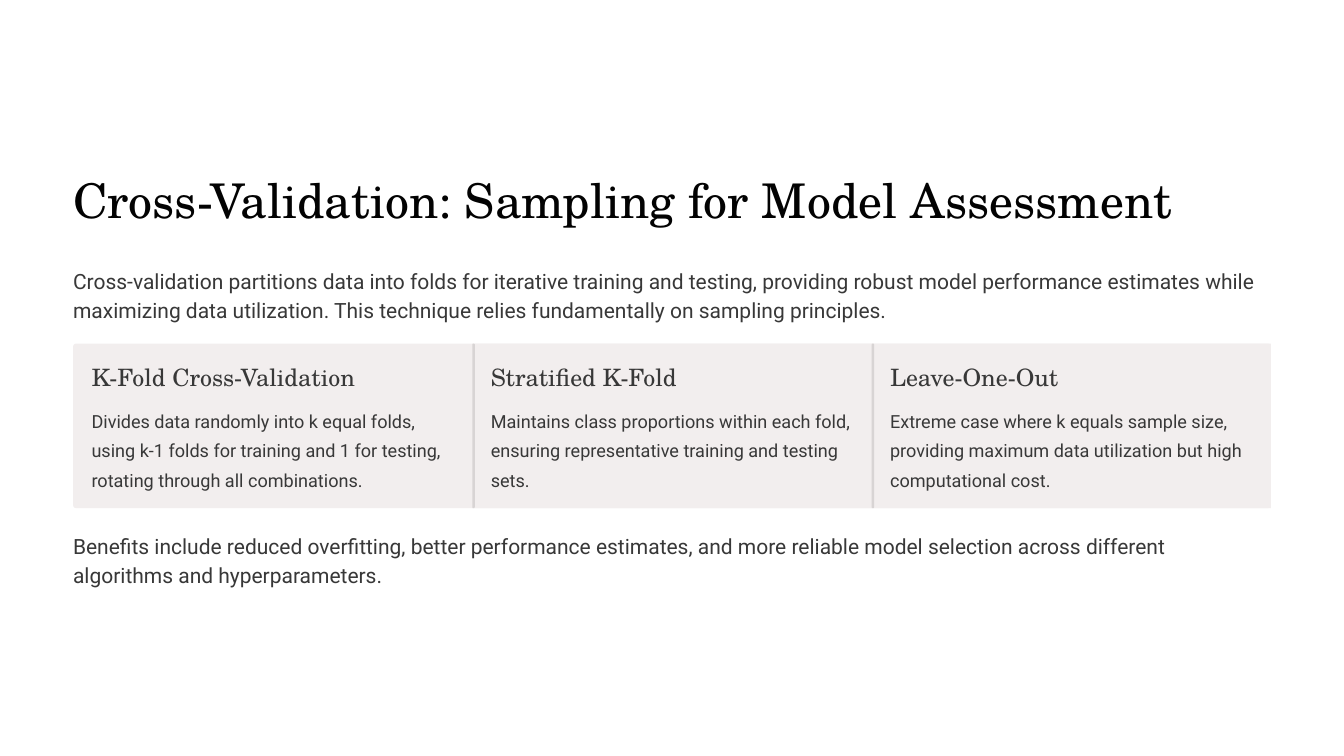
from pptx import Presentation
from pptx.dml.color import RGBColor
from pptx.enum.shapes import MSO_SHAPE as Shape
from pptx.util import Inches, Pt

BLACK = RGBColor(0x02, 0x02, 0x02)
GRAY = RGBColor(0x38, 0x38, 0x38)
PANEL = RGBColor(0xF2, 0xEE, 0xEE)
DIVIDER = RGBColor(0xD8, 0xD4, 0xD4)
WHITE = RGBColor(0xFF, 0xFF, 0xFF)
SERIF = "TeX Gyre Schola"
SANS = "Roboto"

MARGIN = 0.87
CONTENT_WIDTH = 14.26
METHODS = [
    ("K-Fold Cross-Validation",
     "Divides data randomly into k equal folds, using k-1 folds for training "
     "and 1 for testing, rotating through all combinations."),
    ("Stratified K-Fold",
     "Maintains class proportions within each fold, ensuring representative "
     "training and testing sets."),
    ("Leave-One-Out",
     "Extreme case where k equals sample size, providing maximum data "
     "utilization but high computational cost."),
]


def add_text(page, text, left, top, width, height, *, size, font=SANS,
             color=GRAY, leading=25):
    box = page.shapes.add_textbox(
        Inches(left), Inches(top), Inches(width), Inches(height))
    frame = box.text_frame
    frame.word_wrap = True
    frame.margin_left = frame.margin_right = 0
    frame.margin_top = frame.margin_bottom = 0
    para = frame.paragraphs[0]
    para.line_spacing = Pt(leading)
    span = para.add_run()
    span.text = text
    span.font.size = Pt(size)
    span.font.name = font
    span.font.color.rgb = color


def add_block(page, kind, left, top, width, height, color, rounding=None):
    block = page.shapes.add_shape(
        kind, Inches(left), Inches(top), Inches(width), Inches(height))
    block.shadow.inherit = False
    block.fill.solid()
    block.fill.fore_color.rgb = color
    block.line.fill.background()
    if rounding is not None:
        block.adjustments[0] = rounding


def add_method(page, title, body, left, top, width, height, first):
    if not first:
        add_block(page, Shape.RECTANGLE, left, top, width, height, PANEL)
        add_block(page, Shape.ROUNDED_RECTANGLE, left, top, 0.03, height,
                  DIVIDER, 0.5)
    padding = 0.22
    inner = width - 2 * padding
    add_text(page, title, left + padding, top + padding, inner, 0.36,
             size=20.5, font=SERIF, leading=25.5)
    add_text(page, body, left + padding, top + 0.71, inner, 1.04, size=15.5)


def add_methods(page, left, top, width, height):
    add_block(page, Shape.ROUNDED_RECTANGLE, left, top, width, height,
              PANEL, 0.02)
    column = width / len(METHODS)
    for index, (title, body) in enumerate(METHODS):
        add_method(page, title, body, left + index * column, top, column,
                   height, index == 0)


def build_page(page):
    page.background.fill.solid()
    page.background.fill.fore_color.rgb = WHITE
    add_text(page, "Cross-Validation: Sampling for Model Assessment",
             MARGIN, 2.01, CONTENT_WIDTH, 0.71, size=41, font=SERIF,
             color=BLACK, leading=51)
    add_text(page,
             "Cross-validation partitions data into folds for iterative "
             "training and testing, providing robust model performance "
             "estimates while maximizing data utilization. This technique "
             "relies fundamentally on sampling principles.",
             MARGIN, 3.15, CONTENT_WIDTH, 0.69, size=18)
    add_methods(page, MARGIN, 4.09, CONTENT_WIDTH, 1.96)
    add_text(page,
             "Benefits include reduced overfitting, better performance "
             "estimates, and more reliable model selection across different "
             "algorithms and hyperparameters.",
             MARGIN, 6.3, CONTENT_WIDTH, 0.69, size=18)


def main():
    deck = Presentation()
    deck.slide_width = Inches(16)
    deck.slide_height = Inches(9)
    build_page(deck.slides.add_slide(deck.slide_layouts[6]))
    deck.save("out.pptx")


if __name__ == "__main__":
    main()
